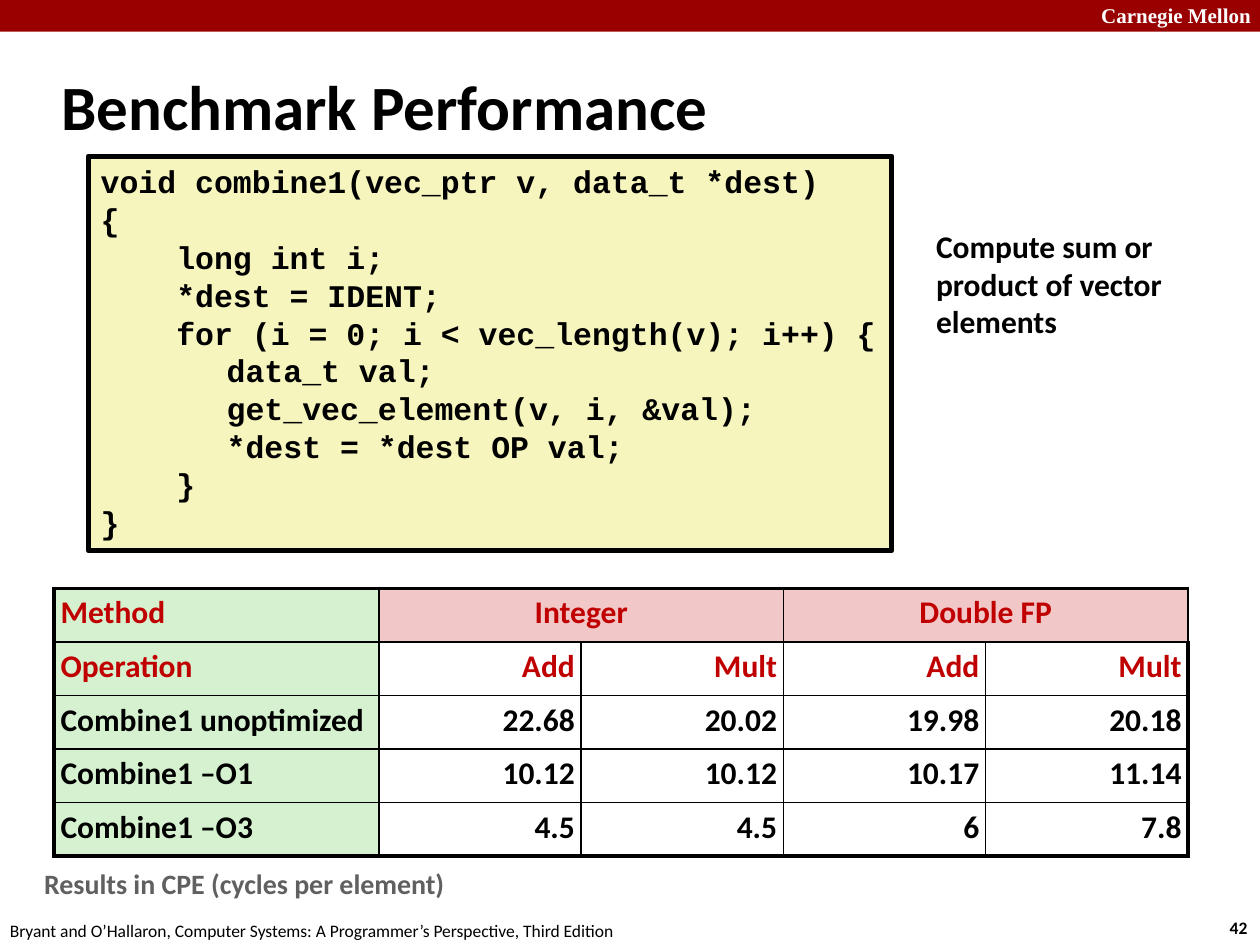
from dataclasses import dataclass

from lxml import etree
from pptx import Presentation
from pptx.dml.color import RGBColor
from pptx.enum.shapes import MSO_SHAPE
from pptx.enum.text import MSO_ANCHOR, PP_ALIGN
from pptx.oxml.ns import qn
from pptx.util import Cm, Pt

RECT = MSO_SHAPE.RECTANGLE
TOP, MIDDLE = MSO_ANCHOR.TOP, MSO_ANCHOR.MIDDLE
LEFT, CENTER, RIGHT = PP_ALIGN.LEFT, PP_ALIGN.CENTER, PP_ALIGN.RIGHT


@dataclass(frozen=True)
class Theme:
    black: str = "000000"
    white: str = "FFFFFF"
    banner: str = "990000"
    code_fill: str = "F6F5BD"
    heading: str = "C00000"
    label_fill: str = "D5F1CF"
    group_fill: str = "F1C7C7"
    note: str = "606060"
    sans: str = "Calibri"
    serif: str = "Times New Roman"
    mono: str = "Courier New"
    title_size: int = 36
    body_size: int = 18
    note_size: int = 16
    banner_size: int = 12
    footer_size: int = 10
    thin: float = 1
    thick: float = 2.25
    frame: float = 3


THEME = Theme()


@dataclass(frozen=True)
class Box:
    left: float
    top: float
    width: float
    height: float

    def lengths(self) -> tuple:
        return Cm(self.left), Cm(self.top), Cm(self.width), Cm(self.height)


@dataclass(frozen=True)
class Style:
    size: int
    color: str = THEME.black
    font: str = THEME.sans
    bold: bool = True


@dataclass(frozen=True)
class Label:
    text: str
    box: Box
    style: Style
    wrap: bool = True
    anchor: MSO_ANCHOR = TOP


BODY = Style(THEME.body_size)
HEADING = Style(THEME.body_size, THEME.heading)
CODE_STYLE = Style(THEME.body_size, font=THEME.mono)

LABELS = [
    Label("Carnegie Mellon", Box(21.95, -0.08, 3.63, 0.76),
          Style(THEME.banner_size, THEME.white, THEME.serif)),
    Label("42", Box(24.54, 18.36, 0.94, 0.69), Style(THEME.footer_size), wrap=False),
    Label("Bryant and O’Hallaron, Computer Systems: A Programmer’s Perspective, Third Edition",
          Box(-0.05, 18.42, 12.9, 0.69), Style(THEME.footer_size, bold=False), wrap=False),
    Label("Benchmark Performance", Box(0.99, 1.07, 21.08, 2.11),
          Style(THEME.title_size), anchor=MIDDLE),
    Label("Compute sum or product of vector elements", Box(18.62, 4.45, 6.78, 2.57), BODY),
    Label("Results in CPE (cycles per element)", Box(0.64, 17.35, 15.04, 0.94),
          Style(THEME.note_size, THEME.note)),
]

BANNER_BOX = Box(0, 0, 25.4, 0.64)
CODE_BOX = Box(1.78, 3.15, 16.2, 7.95)
CODE_TABS = (2.54, 6.35)
CODE = """void combine1(vec_ptr v, data_t *dest)
{
    long int i;
    *dest = IDENT;
    for (i = 0; i < vec_length(v); i++) {
\tdata_t val;
\tget_vec_element(v, i, &val);
\t*dest = *dest OP val;
    }
}"""

TABLE_BOX = Box(1.09, 11.86, 22.86, 5.4)
LABEL_WIDTH = 6.55
CELL_MARGIN = Cm(0.13)
HEADER_ROWS = 2
GROUP_SPAN = 2
ROWS = [
    ["Method", "Integer", "", "Double FP", ""],
    ["Operation", "Add", "Mult", "Add", "Mult"],
    ["Combine1 unoptimized", "22.68", "20.02", "19.98", "20.18"],
    ["Combine1 –O1", "10.12", "10.12", "10.17", "11.14"],
    ["Combine1 –O3", "4.5", "4.5", "6", "7.8"],
]


def rgb(color: str) -> RGBColor:
    return RGBColor.from_string(color)


def style_paragraph(p, style: Style) -> None:
    p.font.name = style.font
    p.font.size = Pt(style.size)
    p.font.bold = style.bold
    p.font.color.rgb = rgb(style.color)


def add_label(slide, label: Label) -> None:
    tf = slide.shapes.add_textbox(*label.box.lengths()).text_frame
    tf.word_wrap = label.wrap
    tf.vertical_anchor = label.anchor
    tf.text = label.text
    style_paragraph(tf.paragraphs[0], label.style)


def add_panel(slide, box: Box, fill: str):
    sp = slide.shapes.add_shape(RECT, *box.lengths())
    sp.shadow.inherit = False
    sp.fill.solid()
    sp.fill.fore_color.rgb = rgb(fill)
    sp.line.fill.background()
    return sp


def add_code(slide) -> None:
    sp = add_panel(slide, CODE_BOX, THEME.code_fill)
    sp.line.color.rgb = rgb(THEME.black)
    sp.line.width = Pt(THEME.frame)
    tf = sp.text_frame
    tf.word_wrap = False
    tf.vertical_anchor = TOP
    tf.text = CODE
    for p in tf.paragraphs:
        p.alignment = LEFT
        tabs = etree.SubElement(p._p.get_or_add_pPr(), qn("a:tabLst"))
        for stop in CODE_TABS:
            etree.SubElement(tabs, qn("a:tab"), pos=str(Cm(stop)), algn="l")
        style_paragraph(p, CODE_STYLE)


def set_borders(cell, row: int, col: int) -> None:
    """Draw thin lines inside the table and thick ones around it."""
    outer = {"lnL": col == 0, "lnR": col == len(ROWS[0]) - 1,
             "lnT": row == 0, "lnB": row == len(ROWS) - 1}
    for tag, is_outer in outer.items():
        width = Pt(THEME.thick if is_outer else THEME.thin)
        ln = etree.SubElement(cell._tc.get_or_add_tcPr(), qn(f"a:{tag}"), w=str(width))
        fill = etree.SubElement(ln, qn("a:solidFill"))
        etree.SubElement(fill, qn("a:srgbClr"), val=THEME.black)


def fill_cell(cell, row: int, col: int) -> None:
    set_borders(cell, row, col)
    if col == 0:
        fill, align = THEME.label_fill, LEFT
    elif row == 0:
        fill, align = THEME.group_fill, CENTER
    else:
        fill, align = THEME.white, RIGHT
    cell.fill.solid()
    cell.fill.fore_color.rgb = rgb(fill)
    cell.margin_left = cell.margin_right = CELL_MARGIN
    cell.margin_top = cell.margin_bottom = CELL_MARGIN
    cell.text = ROWS[row][col]
    p = cell.text_frame.paragraphs[0]
    p.alignment = align
    p.line_spacing = 0.95
    style_paragraph(p, HEADING if row < HEADER_ROWS else BODY)


def add_results(slide) -> None:
    n_rows, n_cols = len(ROWS), len(ROWS[0])
    table = slide.shapes.add_table(n_rows, n_cols, *TABLE_BOX.lengths()).table
    value_width = (TABLE_BOX.width - LABEL_WIDTH) / (n_cols - 1)
    for col, column in enumerate(table.columns):
        column.width = Cm(value_width if col else LABEL_WIDTH)
    for row in range(n_rows):
        for col in range(n_cols):
            fill_cell(table.cell(row, col), row, col)
    for col in range(1, n_cols, GROUP_SPAN):
        table.cell(0, col).merge(table.cell(0, col + GROUP_SPAN - 1))


def main() -> None:
    prs = Presentation()
    prs.slide_width, prs.slide_height = Cm(25.4), Cm(19.05)
    slide = prs.slides.add_slide(prs.slide_layouts[6])
    add_panel(slide, BANNER_BOX, THEME.banner)
    add_code(slide)
    add_results(slide)
    for label in LABELS:
        add_label(slide, label)
    prs.save("out.pptx")


if __name__ == "__main__":
    main()
